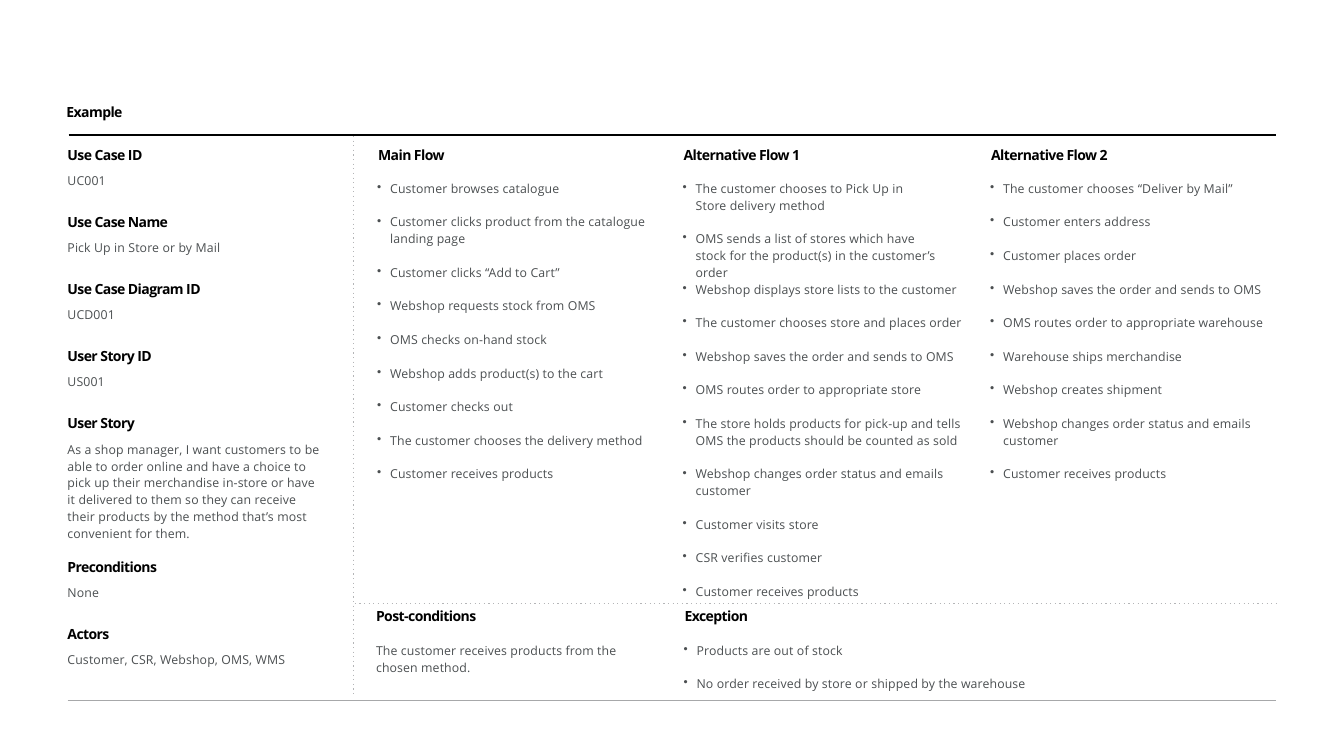
import pptx
import pptx.dml.color
import pptx.enum.shapes
import pptx.enum.text
import pptx.oxml.ns
import pptx.util
import lxml.etree

Inches = pptx.util.Inches
Pt = pptx.util.Pt
qn = pptx.oxml.ns.qn

FONT = "Open Sans"
BLACK, GREY, DOTS, BASE = "000000", "4B4F51", "B4B5B7", "A7A8AA"

FIELDS_LEFT, FIELDS_WIDTH, TOP = 0.66, 2.54, 1.44
FIELD_PITCH, STORY_PITCH = 2 / 3, 1.42
fields = [
    ("Use Case ID", "UC001"),
    ("Use Case Name", "Pick Up in Store or by Mail"),
    ("Use Case Diagram ID", "UCD001"),
    ("User Story ID", "US001"),
    ("User Story", "As a shop manager, I want customers to be able to order online "
     "and have a choice to pick up their merchandise in-store or have it delivered "
     "to them so they can receive their products by the method that’s most "
     "convenient for them."),
    ("Preconditions", "None"),
    ("Actors", "Customer, CSR, Webshop, OMS, WMS"),
]

STEPS_TOP, STEP_PITCH = 2.12, 1 / 3
flows = [
    {"title": "Main Flow", "left": 3.74, "width": 2.71, "row": 0,
     "first": ("Customer browses catalogue", 2.71, 1),
     "steps": [("Customer clicks product from the catalogue landing page", 2),
               ("Customer clicks “Add to Cart”", 1),
               ("Webshop requests stock from OMS", 1),
               ("OMS checks on-hand stock", 1),
               ("Webshop adds product(s) to the cart", 1),
               ("Customer checks out", 1),
               ("The customer chooses the delivery method", 1),
               ("Customer receives products", 1)]},
    {"title": "Alternative Flow 1", "left": 6.77, "width": 2.82, "row": 0.5,
     "first": ("The customer chooses to Pick Up in Store delivery method", 2.35, 2),
     "steps": [("OMS sends a list of stores which have stock for the product(s) "
                "in the customer’s order", 2, 2.6),
               ("Webshop displays store lists to the customer", 1),
               ("The customer chooses store and places order", 1),
               ("Webshop saves the order and sends to OMS", 1),
               ("OMS routes order to appropriate store", 1),
               ("The store holds products for pick-up and tells OMS the products "
                "should be counted as sold", 2),
               ("Webshop changes order status and emails customer", 2),
               ("Customer visits store", 1),
               ("CSR verifies customer", 1),
               ("Customer receives products", 1)]},
    {"title": "Alternative Flow 2", "left": 9.82, "width": 2.76, "row": 0,
     "first": ("The customer chooses “Deliver by Mail”", 2.76, 1),
     "steps": [("Customer enters address", 1),
               ("Customer places order", 1),
               ("Webshop saves the order and sends to OMS", 1),
               ("OMS routes order to appropriate warehouse", 1),
               ("Warehouse ships merchandise", 1),
               ("Webshop creates shipment", 1),
               ("Webshop changes order status and emails customer", 2),
               ("Customer receives products", 1)]},
]

OUTCOME_TOP = 6.02
post_conditions = ("Post-conditions",
                   "The customer receives products from the chosen method.")
exceptions = ("Exception", "Products are out of stock",
              "No order received by store or shipped by the warehouse")

rules = [
    (0.68, 1.34, 12.66, 1.34, "000101", False),
    (3.51, 1.35, 3.51, 6.91, DOTS, True),
    (3.52, 5.99, 12.66, 5.99, DOTS, True),
    (0.67, 6.95, 12.66, 6.95, BASE, False),
]


def colour(value):
    return pptx.dml.color.RGBColor.from_string(value)


def heading(text):
    return {"text": text, "size": 10, "bold": True, "colour": BLACK,
            "tracking": -40, "before": 0.6}


def body(text, before, lines=1, bullet=False):
    return {"text": text, "size": 8.8, "bold": False, "colour": GREY, "tracking": 10,
            "before": before, "spacing": 1.14 if lines > 1 else None, "bullet": bullet}


def add_text(slide, left, top, width, height, parts):
    box = slide.shapes.add_textbox(Inches(left), Inches(top), Inches(width), Inches(height))
    frame = box.text_frame
    frame.word_wrap = True
    frame.auto_size = pptx.enum.text.MSO_AUTO_SIZE.SHAPE_TO_FIT_TEXT
    frame.margin_left = frame.margin_right = frame.margin_bottom = 0
    frame.margin_top = Inches(0.01)
    frame.text = "\n".join(part["text"] for part in parts)
    for paragraph, part in zip(frame.paragraphs, parts):
        paragraph.space_before = Pt(part["before"])
        if part.get("spacing"):
            paragraph.line_spacing = part["spacing"]
        properties = paragraph._p.get_or_add_pPr()
        bulleted = part.get("bullet")
        properties.set("marL", str(Inches(0.13 if bulleted else 0.01)))
        properties.set("indent", str(Inches(-0.13 if bulleted else 0)))
        if bulleted:
            lxml.etree.SubElement(properties, qn("a:buChar")).set("char", "•")
        for run in paragraph.runs:
            run.font.name = FONT
            run.font.size = Pt(part["size"])
            run.font.bold = part["bold"]
            run.font.color.rgb = colour(part["colour"])
            run._r.get_or_add_rPr().set("spc", str(part["tracking"]))


def add_rule(slide, x1, y1, x2, y2, ink, dotted):
    rule = slide.shapes.add_connector(pptx.enum.shapes.MSO_CONNECTOR.STRAIGHT,
                                      Inches(x1), Inches(y1), Inches(x2), Inches(y2))
    rule.line.color.rgb = colour(ink)
    rule.line.width = Pt(0.82)
    properties = rule._element.spPr
    if dotted:
        outline = properties.find(qn("a:ln"))
        lxml.etree.SubElement(outline, qn("a:prstDash")).set("val", "dot")
    lxml.etree.SubElement(properties, qn("a:effectLst"))


def add_fields(slide):
    top = TOP
    for label, value in fields:
        story = label == "User Story"
        detail = body(value, 5.8, 2) if story else body(value, 7.2)
        add_text(slide, FIELDS_LEFT, top, FIELDS_WIDTH, 1.26 if story else 0.42,
                 [heading(label), detail])
        top += STORY_PITCH if story else FIELD_PITCH


def add_step(slide, left, top, width, text, lines=1):
    if lines > 1:
        add_text(slide, left, top - 0.02, width, 0.33, [body(text, 0.6, lines, True)])
    else:
        add_text(slide, left, top, width, 0.16, [body(text, 0.8, 1, True)])


def add_flow(slide, flow):
    opening, opening_width, opening_lines = flow["first"]
    before, height = (11.8, 0.67) if opening_lines > 1 else (13.2, 0.49)
    add_text(slide, flow["left"], TOP, opening_width, height,
             [heading(flow["title"]), body(opening, before, opening_lines, True)])
    row = flow["row"]
    for text, lines, *narrow in flow["steps"]:
        width = narrow[0] if narrow else flow["width"]
        add_step(slide, flow["left"], STEPS_TOP + row * STEP_PITCH, width, text, lines)
        row += (lines + 1) / 2


def main():
    deck = pptx.Presentation()
    deck.slide_width, deck.slide_height = Inches(13.33), Inches(7.5)
    slide = deck.slides.add_slide(deck.slide_layouts[6])
    for rule in rules:
        add_rule(slide, *rule)
    add_text(slide, 0.65, 1.02, 0.7, 0.18, [heading("Example")])
    add_fields(slide)
    for flow in flows:
        add_flow(slide, flow)
    title, outcome = post_conditions
    add_text(slide, 3.72, OUTCOME_TOP, 2.44, 0.67, [heading(title), body(outcome, 11.8, 2)])
    title, stock, order = exceptions
    add_text(slide, 6.78, OUTCOME_TOP, 1.75, 0.49,
             [heading(title), body(stock, 13.2, 1, True)])
    add_step(slide, 6.78, 6.7, 3.6, order)
    deck.save("out.pptx")


if __name__ == "__main__":
    main()
